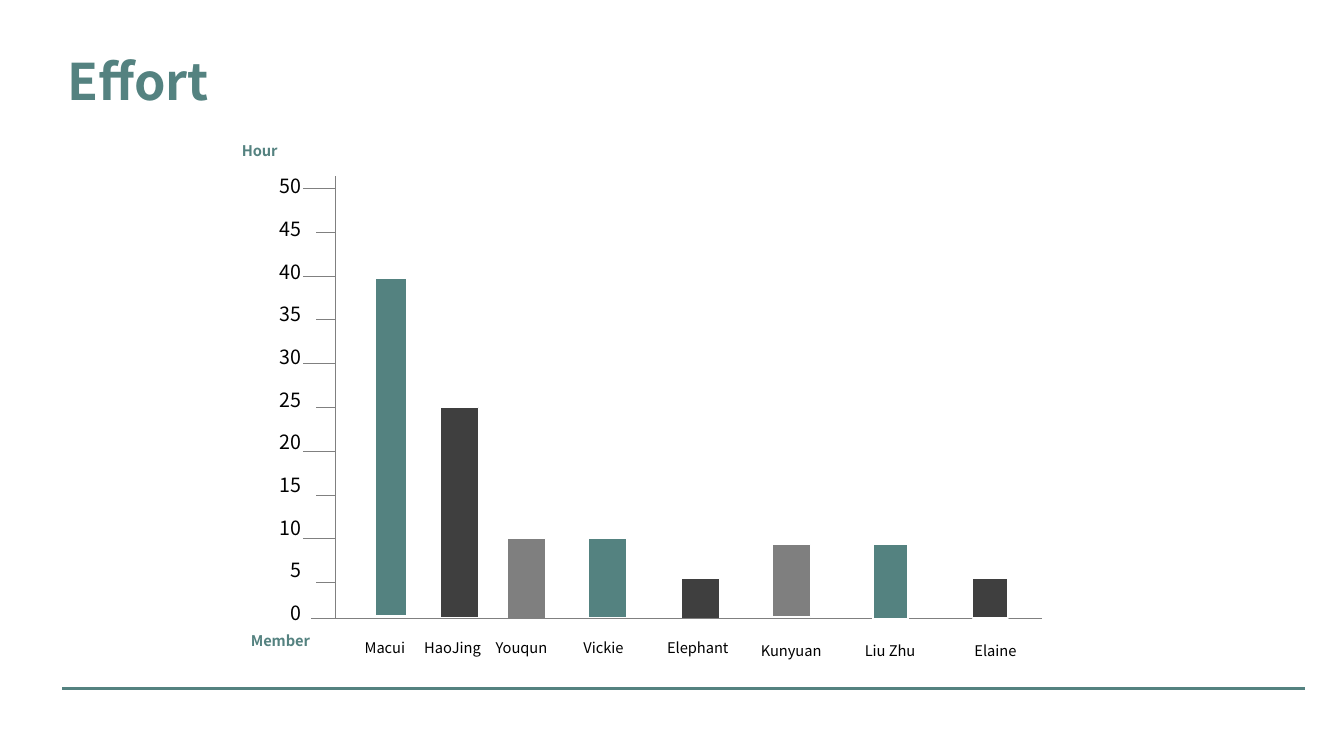
from typing import NamedTuple

from lxml import etree
from pptx import Presentation
from pptx.dml.color import RGBColor
from pptx.enum.shapes import MSO_CONNECTOR, MSO_SHAPE
from pptx.enum.text import MSO_ANCHOR, MSO_AUTO_SIZE, PP_ALIGN
from pptx.oxml.ns import qn
from pptx.util import Pt

STRAIGHT = MSO_CONNECTOR.STRAIGHT
RECTANGLE = MSO_SHAPE.RECTANGLE
TOP = MSO_ANCHOR.TOP
GROW = MSO_AUTO_SIZE.SHAPE_TO_FIT_TEXT
LEFT, RIGHT = PP_ALIGN.LEFT, PP_ALIGN.RIGHT

FONT = "Noto Sans CJK SC"
COLOURS = {
    "teal": "548280",
    "dark": "3F3F3F",
    "grey": "7F7F7F",
    "axis": "808080",
    "black": "000000",
    "white": "FFFFFF",
}

TITLE_ONLY_LAYOUT = 5
AXIS_X = 239.5
AXIS_Y = 441.4
FIRST_TICK_Y = 134.6
TICK_STEP = 31.28
FIRST_SCALE_TOP = 121
SCALE_STEP = 30.46
SCALE_VALUES = range(50, -1, -5)


class Box(NamedTuple):
    left: float
    top: float
    width: float
    height: float


class Member(NamedTuple):
    name: str
    colour: str
    bar: Box
    label: Box


MEMBERS = [
    Member("Macui", "teal", Box(267.8, 198.7, 23, 241.2), Box(253.4, 452.9, 46.8, 20.2)),
    Member("HaoJing", "dark", Box(314.6, 290.9, 27.4, 150.5), Box(295.9, 452.9, 63.4, 20.2)),
    Member("Youqun", "grey", Box(362.2, 384.5, 27.4, 58.3), Box(347, 452.9, 67.7, 20.2)),
    Member("Vickie", "teal", Box(420.5, 384.5, 27.4, 56.9), Box(409.7, 452.9, 48.2, 20.2)),
    Member("Elephant", "dark", Box(486.7, 413.3, 27.4, 29.5), Box(469.4, 452.9, 63.4, 20.2)),
    Member("Kunyuan", "grey", Box(551.5, 388.8, 27.4, 51.8), Box(536.4, 455, 63.4, 20.2)),
    Member("Liu Zhu", "teal", Box(623.5, 388.8, 25.2, 53.3), Box(610.6, 455, 63.4, 20.2)),
    Member("Elaine", "dark", Box(694.8, 413.3, 25.2, 28.1), Box(689, 455, 63.4, 20.2)),
]
BARS_BEHIND_AXIS = 6


def colour_of(name: str) -> RGBColor:
    return RGBColor.from_string(COLOURS[name])


def points(*lengths: float) -> list[Pt]:
    return [Pt(length) for length in lengths]


def write_text(shape, text: str, size: float, colour: str,
               bold: bool = False, alignment=LEFT) -> None:
    frame = shape.text_frame
    frame.word_wrap = True
    frame.auto_size = GROW
    frame.vertical_anchor = TOP
    frame.text = text
    paragraph = frame.paragraphs[0]
    paragraph.alignment = alignment
    font = paragraph.font
    font.name = FONT
    font.size = Pt(size)
    font.bold = bold
    font.color.rgb = colour_of(colour)


def add_label(slide, box: Box, text: str, size: float = 10.5,
              colour: str = "black", bold: bool = False, alignment=LEFT) -> None:
    shape = slide.shapes.add_textbox(*points(*box))
    write_text(shape, text, size, colour, bold, alignment)


def add_line(slide, start: tuple[float, float], end: tuple[float, float],
             colour: str = "axis", width: float = 0.5) -> None:
    line = slide.shapes.add_connector(STRAIGHT, *points(*start, *end))
    line.line.color.rgb = colour_of(colour)
    line.line.width = Pt(width)
    etree.SubElement(line._element.spPr, qn("a:effectLst"))


def add_bar(slide, member: Member) -> None:
    bar = slide.shapes.add_shape(RECTANGLE, *points(*member.bar))
    bar.shadow.inherit = False
    bar.fill.solid()
    bar.fill.fore_color.rgb = colour_of(member.colour)
    bar.line.color.rgb = colour_of("white")
    bar.line.width = Pt(1)


def add_title(slide) -> None:
    title = slide.shapes.title
    title.left, title.top, title.width, title.height = points(41, 32.4, 212.4, 51.1)
    write_text(title, "Effort", 36, "teal", bold=True)


def add_axes(slide) -> None:
    add_line(slide, (222.5, AXIS_Y), (744.5, AXIS_Y))
    add_line(slide, (AXIS_X, AXIS_Y), (AXIS_X, 126))
    for index, value in enumerate(SCALE_VALUES):
        scale_box = Box(170, FIRST_SCALE_TOP + index * SCALE_STEP, 52.6, 24.5)
        add_label(slide, scale_box, str(value), size=14, alignment=RIGHT)
        if value:
            tick_y = FIRST_TICK_Y + index * TICK_STEP
            tick_end = 226 if value % 10 else 216.7
            add_line(slide, (AXIS_X, tick_y), (tick_end, tick_y))


def main() -> None:
    presentation = Presentation()
    presentation.slide_width, presentation.slide_height = points(960, 540)
    slide = presentation.slides.add_slide(presentation.slide_layouts[TITLE_ONLY_LAYOUT])

    add_title(slide)
    add_line(slide, (44.6, 491.8), (932.4, 491.8), "teal", 1.5)
    for member in MEMBERS[:BARS_BEHIND_AXIS]:
        add_bar(slide, member)
    add_axes(slide)
    for member in MEMBERS[BARS_BEHIND_AXIS:]:
        add_bar(slide, member)
    for member in MEMBERS:
        add_label(slide, member.label, member.name)
    add_label(slide, Box(165.6, 97.9, 46.8, 20.2), "Hour", colour="teal", bold=True)
    add_label(slide, Box(172.1, 447.8, 59.8, 20.2), "Member", colour="teal", bold=True)

    presentation.save("out.pptx")


if __name__ == "__main__":
    main()
